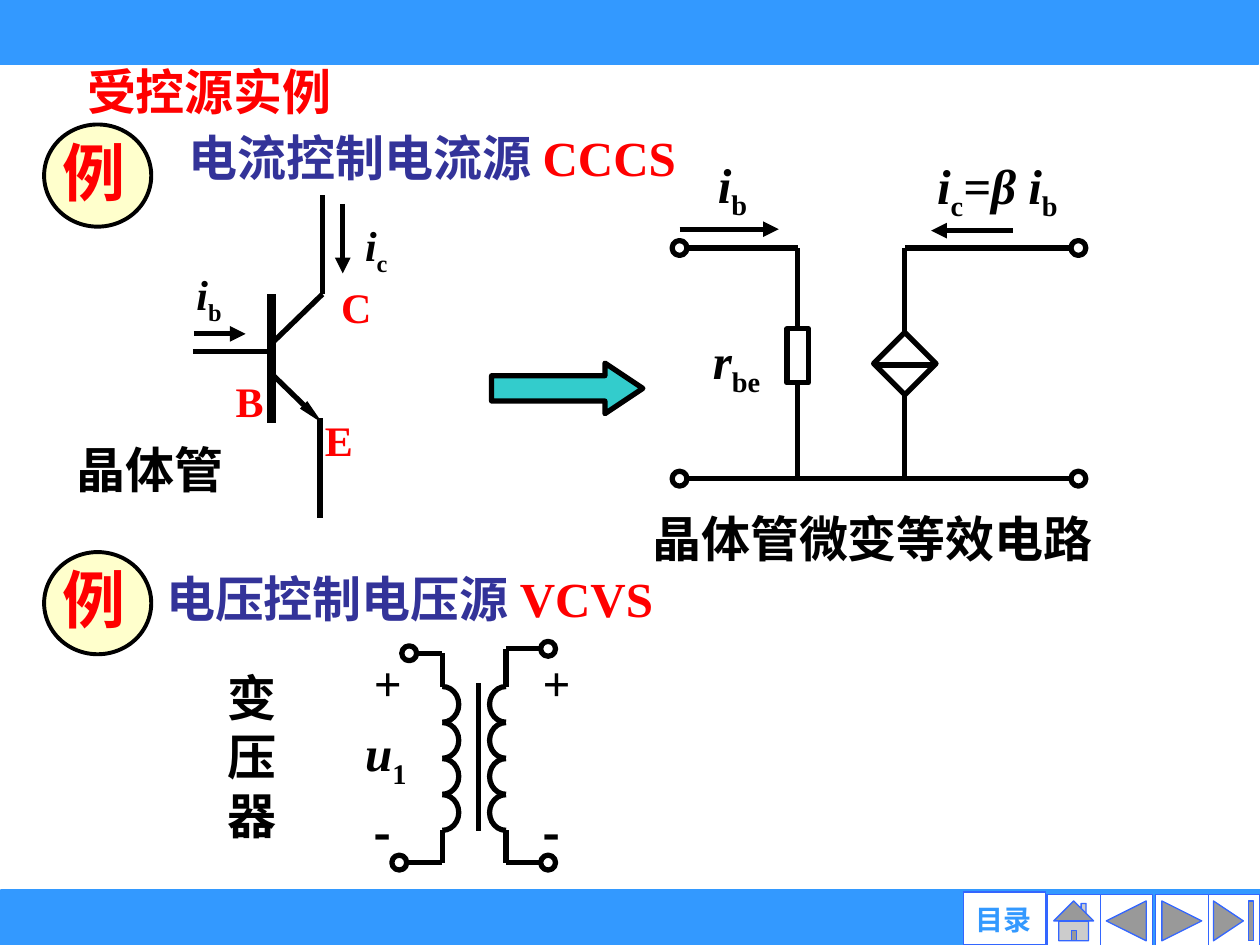
from lxml import etree
from pptx import Presentation
from pptx.dml.color import RGBColor
from pptx.enum.shapes import MSO_CONNECTOR, MSO_SHAPE
from pptx.enum.text import MSO_ANCHOR, MSO_AUTO_SIZE, PP_ALIGN
from pptx.oxml.ns import qn
from pptx.util import Cm, Pt

BLACK = RGBColor(0x00, 0x00, 0x00)
WHITE = RGBColor(0xFF, 0xFF, 0xFF)
RED = RGBColor(0xFF, 0x00, 0x00)
INDIGO = RGBColor(0x33, 0x33, 0x99)
SKY = RGBColor(0x33, 0x99, 0xFF)
BLUE = RGBColor(0x33, 0x66, 0xFF)
TEAL = RGBColor(0x33, 0xCC, 0xCC)
CREAM = RGBColor(0xFF, 0xFF, 0xCC)
SERIF = "Times New Roman"
CJK = "Noto Sans CJK SC"

prs = Presentation()
prs.slide_width, prs.slide_height = Cm(25.4), Cm(19.05)
s = prs.slides.add_slide(prs.slide_layouts[5])


def add_shape(kind, x, y, w, h, fill=WHITE, line=BLACK, width=3):
    sp = s.shapes.add_shape(kind, Cm(x), Cm(y), Cm(w), Cm(h))
    sp.shadow.inherit = False
    if fill is None:
        sp.fill.background()
    else:
        sp.fill.solid()
        sp.fill.fore_color.rgb = fill
    sp.line.color.rgb = line
    sp.line.width = Pt(width)
    return sp


def add_text(x, y, w, h, runs, size=28, font=SERIF, align=PP_ALIGN.LEFT,
             wrap=True, spacing=None, sp=None):
    sp = sp or s.shapes.add_textbox(0, 0, 0, 0)
    sp.left, sp.top, sp.width, sp.height = Cm(x), Cm(y), Cm(w), Cm(h)
    tf = sp.text_frame
    tf.word_wrap = wrap
    tf.auto_size = MSO_AUTO_SIZE.NONE
    tf.vertical_anchor = MSO_ANCHOR.TOP
    p = tf.paragraphs[0]
    p.alignment = align
    p.line_spacing = spacing
    for text, color, style in runs:
        r = p.add_run()
        r.text = text
        r.font.size = Pt(size)
        r.font.name = font
        r.font.bold = True
        r.font.italic = style == "var"
        r.font.color.rgb = color
        rPr = r.font._element
        etree.SubElement(rPr, qn("a:ea")).set("typeface", CJK)
        if style == "sub":
            rPr.set("baseline", "-25000")
    return tf


add_shape(MSO_SHAPE.RECTANGLE, 0, -0.03, 25.37, 1.32, SKY, SKY, 0)
add_shape(MSO_SHAPE.RECTANGLE, 0.03, 17.98, 25.37, 1.07, SKY, SKY)
button = 1.07
for kind, x in [
    (MSO_SHAPE.ACTION_BUTTON_END, 24.33),
    (MSO_SHAPE.ACTION_BUTTON_FORWARD_OR_NEXT, 23.29),
    (MSO_SHAPE.ACTION_BUTTON_BACK_OR_PREVIOUS, 22.17),
    (MSO_SHAPE.ACTION_BUTTON_HOME, 21.11),
]:
    add_shape(kind, x, 18.03, button, button, WHITE, BLUE, 0.75)
add_shape(MSO_SHAPE.ACTION_BUTTON_CUSTOM, 19.43, 17.98, 1.65, button, WHITE, BLUE, 0.75)
tf = add_text(19.43, 18.19, 1.6, 0.69, [("目录", SKY, "")], 16, "Arial", PP_ALIGN.CENTER)
tf.margin_left = tf.margin_right = tf.margin_top = tf.margin_bottom = 0
tf.vertical_anchor = MSO_ANCHOR.MIDDLE

add_text(1.5, 1.12, 5.46, 1.45, [("受控源实例", RED, "")], wrap=False, sp=s.shapes.title)

for badge_y, head_x, head_y, name, code in [
    (2.51, 3.56, 2.44, "电流控制电流源", " CCCS"),
    (11.13, 3.1, 11.33, "电压控制电压源", " VCVS"),
]:
    add_shape(MSO_SHAPE.OVAL, 0.89, badge_y, 2.16, 2.06, CREAM, BLACK, 2.25)
    add_text(1.02, badge_y + 0.05, 2.06, 1.78, [("例", RED, "")], 36)
    add_text(head_x, head_y, 11.25, 1.45, [(name, INDIGO, ""), (code, RED, "")])

add_text(1.3, 8.74, 3.76, 1.45, [("晶体管", BLACK, "")])
add_text(12.9, 10.13, 9.96, 1.45, [("晶体管微变等效电路", BLACK, "")])
add_text(4.29, 13.34, 1.57, 3.81, [("变压器", BLACK, "")], align=PP_ALIGN.CENTER)

leads_to = add_shape(MSO_SHAPE.RIGHT_ARROW, 9.91, 7.32, 3.05, 1.02, TEAL)
leads_to.adjustments[0], leads_to.adjustments[1] = 0.5, 0.75

wires, arrows, terminals = [], [], []

base_x, base_y, base_half = 5.47, 7.23, 1.3
base_top, base_bottom = base_y - base_half, base_y + base_half
branch, lead_x = 0.3, 6.5
base_plate = [(base_x, base_top), (base_x, base_bottom)]
base_lead = [(3.89, 7.09), (base_x, 7.09)]
collector = [(base_x, base_y - branch), (lead_x, base_top), (lead_x, 3.94)]
emitter = [(base_x, base_y + branch), (lead_x, base_bottom)]
emitter_lead = [(lead_x - 0.05, base_bottom - 0.1), (lead_x - 0.05, 10.44)]
wires += [base_plate, base_lead, collector, emitter_lead]
base_current = [(3.91, 6.73), (4.95, 6.73)]
collector_current = [(6.91, 4.11), (6.91, 5.51)]
arrows += [emitter, base_current, collector_current]

in_x, resistor_x, source_x, out_x = 13.7, 16.08, 18.24, 21.74
top, bottom = 5.0, 9.65
source_y, source_side = 7.33, 0.89
reach = 0.65
input_loop = [(in_x, top), (resistor_x, top), (resistor_x, bottom), (in_x, bottom)]
source_top = [(out_x, top), (source_x, top), (source_x, source_y - reach)]
source_bottom = [(source_x, source_y + reach), (source_x, bottom), (out_x, bottom)]
common = [(resistor_x, bottom), (source_x, bottom)]
source_bar = [(source_x - 0.58, source_y + 0.03), (source_x + 0.58, source_y + 0.03)]
wires += [input_loop, source_top, source_bottom, common, source_bar]
arrows += [[(in_x, 4.62), (15.7, 4.62)], [(20.42, 4.65), (18.77, 4.65)]]
terminals += [(x, y) for x in (in_x, out_x) for y in (top, bottom)]

coil_top, coil_bottom, turns = 13.84, 16.74, 4
turn_w, turn_h = 0.66, 0.72
pitch = (coil_bottom - coil_top - turn_h) / (turns - 1)
up, down = 162, 54
wires.append([(9.65, 13.77), (9.65, 16.76)])
for coil_x, start, end, ends in [
    (8.92, up, down, [(8.25, 13.17), (8.05, 17.39)]),
    (10.2, down, up, [(11.05, 13.08), (11.05, 17.39)]),
]:
    for (x, y), coil_end in zip(ends, (coil_top, coil_bottom)):
        wires.append([(x, y), (coil_x, y), (coil_x, coil_end)])
    terminals += ends
    for i in range(turns):
        turn = add_shape(MSO_SHAPE.ARC, coil_x - turn_w / 2, coil_top + i * pitch,
                         turn_w, turn_h, None)
        turn.adjustments[0], turn.adjustments[1] = start, end

for route in wires + arrows:
    for (x1, y1), (x2, y2) in zip(route, route[1:]):
        wire = s.shapes.add_connector(MSO_CONNECTOR.STRAIGHT, Cm(x1), Cm(y1), Cm(x2), Cm(y2))
        wire.line.color.rgb = BLACK
        wire.line.width = Pt(5 if route is base_plate else 3)
        if route in arrows:
            tail = etree.SubElement(wire.line._get_or_add_ln(), qn("a:tailEnd"))
            tail.set("type", "triangle")
            if route is emitter:
                tail.set("w", "sm")
                tail.set("len", "lg")
        etree.SubElement(wire._element.spPr, qn("a:effectLst"))

resistor_w, resistor_h = 0.43, 1.09
add_shape(MSO_SHAPE.RECTANGLE, resistor_x - resistor_w / 2, 6.63, resistor_w, resistor_h)
source = add_shape(MSO_SHAPE.RECTANGLE, source_x - source_side / 2,
                   source_y - source_side / 2, source_side, source_side, None)
source.rotation = 45
ring = 0.3
for x, y in terminals:
    add_shape(MSO_SHAPE.OVAL, x - ring / 2, y - ring / 2, ring, ring)

for x, y, w, size, parts in [
    (14.22, 2.31, 1.17, 28, [("i", "var"), ("b", "sub")]),
    (18.64, 2.34, 3.07, 28, [("i", "var"), ("c", "sub"), ("=β i", "var"), ("b", "sub")]),
    (14.12, 5.87, 1.57, 28, [("r", "var"), ("be", "sub")]),
    (3.71, 4.72, 1.07, 24, [("i", "var"), ("b", "sub")]),
    (7.11, 3.73, 0.99, 24, [("i", "var"), ("c", "sub")]),
]:
    runs = [(text, BLACK, style) for text, style in parts]
    add_text(x, y, w, 2.03 if size == 28 else 1.78, runs, size, wrap=False, spacing=1.5)

for x, y, pin in [(6.3, 7.72, "E"), (6.63, 5.05, "C"), (4.5, 6.93, "B")]:
    add_text(x, y, 1.07, 1.78, [(pin, RED, "")], 24, wrap=False, spacing=1.5)

add_text(7.11, 14.45, 2.01, 1.8, [("u", BLACK, "var"), ("1", BLACK, "sub")])
for x in (7.29, 10.69):
    for y, sign, font in [(13.03, "+", SERIF), (16.05, "-", CJK)]:
        add_text(x, y, 1.19, 1.4, [(sign, BLACK, "")], font=font)

prs.save("out.pptx")
